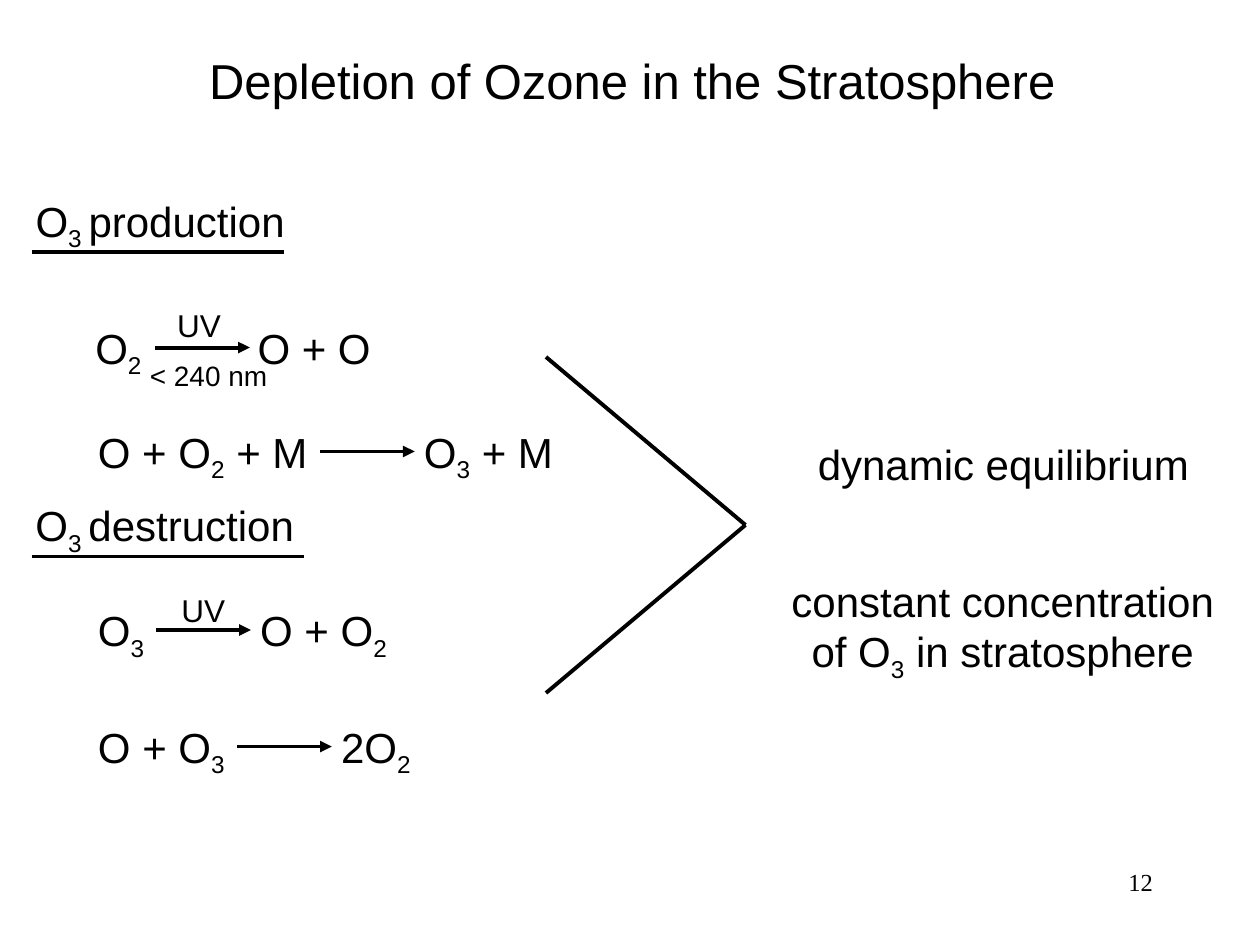
import pptx
import pptx.util
import pptx.dml.color
import pptx.enum.shapes
import pptx.enum.text
import pptx.oxml.ns
import lxml.etree

deck = pptx.Presentation()
deck.slide_width = pptx.util.Inches(10)
deck.slide_height = pptx.util.Inches(7.5)
slide = deck.slides.add_slide(deck.slide_layouts[5])
shapes = slide.shapes

# Grid of 120 columns by 90 rows
unit = deck.slide_width / 120
ink = pptx.dml.color.RGBColor.from_string("000000")
align = pptx.enum.text.PP_ALIGN
form = {"word_wrap": True, "auto_size": pptx.enum.text.MSO_AUTO_SIZE.NONE,
        "vertical_anchor": pptx.enum.text.MSO_ANCHOR.TOP}
qn = pptx.oxml.ns.qn


def write(text, at, size=24, face="Arial", side=align.LEFT, stop=None, box=None):
    """Write text at a grid place; every second part between bars is a subscript."""
    place = [round(n * unit) for n in at]
    box = box or shapes.add_textbox(*place)
    box.left, box.top, box.width, box.height = place
    frame = box.text_frame
    for key, value in form.items():
        setattr(frame, key, value)
    para = frame.paragraphs[0]
    para.alignment = side
    if stop:
        tabs = lxml.etree.SubElement(para._p.get_or_add_pPr(), qn("a:tabLst"))
        lxml.etree.SubElement(tabs, qn("a:tab"), pos=str(round(stop * unit)), algn="l")
    for i, part in enumerate(text.split("|")):
        if not part:
            continue
        run = para.add_run()
        run.text = part
        for key, value in {"name": face, "size": pptx.util.Pt(size)}.items():
            setattr(run.font, key, value)
        run.font.color.rgb = ink
        if i % 2:
            run._r.get_or_add_rPr().set("baseline", "-25000")


def draw(x1, y1, x2, y2, head=False):
    """Draw a straight line between two grid points."""
    ends = [round(n * unit) for n in (x1, y1, x2, y2)]
    line = shapes.add_connector(pptx.enum.shapes.MSO_CONNECTOR.STRAIGHT, *ends)
    line.line.color.rgb = ink
    line.line.width = pptx.util.Pt(2.25)
    props = line._element.spPr
    if head:
        lxml.etree.SubElement(props.find(qn("a:ln")), qn("a:tailEnd"), type="triangle")
    lxml.etree.SubElement(props, qn("a:effectLst"))


# Title and page number
write("Depletion of Ozone in the Stratosphere", (17.2, 4.2, 86, 6.8),
      size=28, side=align.CENTER, box=shapes.title)
write("12", (86, 82, 25, 6), size=14, face="Times New Roman", side=align.RIGHT)

# Underlined headings
for text, row, wide in [("O|3 |production", 18, 24), ("O|3 |destruction", 47, 26)]:
    write(text, (2.2, row, wide + 4, 6.7))
    draw(3, row + 6, 3 + wide, row + 6)

# Reactions: text, left, width, tab stop, arrow start, arrow row
for text, left, wide, stop, start, row in [
    ("O|2|\tO + O", 7.9, 30, 15.45, 14.8, 33.1),
    ("O + O|2| + M\tO|3| + M", 8.15, 47, 31.05, 30.5, 43),
    ("O|3|\tO + O|2|", 8.15, 32, 15.45, 14.9, 60),
    ("O + O|3|\t2O|2|", 8.15, 34, 23.15, 22.6, 71.1),
]:
    write(text, (left, row - 3, wide, 6.7), stop=stop)
    draw(start, row, start + 9, row, head=True)

# Conditions on the arrows
for text, left, row, wide, size in [
    ("UV", 15.7, 28.6, 8, 18),
    ("< 240 nm", 13.1, 33.6, 15, 16),
    ("UV", 16.1, 55.7, 8, 18),
]:
    write(text, (left, row, wide, 4.8), size=size)

# Both processes meet in the equilibrium
for row in (34, 66):
    draw(52, row, 71, 50)
write("dynamic equilibrium", (76.7, 41.2, 40, 6))
write("constant concentration of O|3| in stratosphere", (73, 54.2, 45, 11.5),
      side=align.CENTER)

deck.save("out.pptx")
